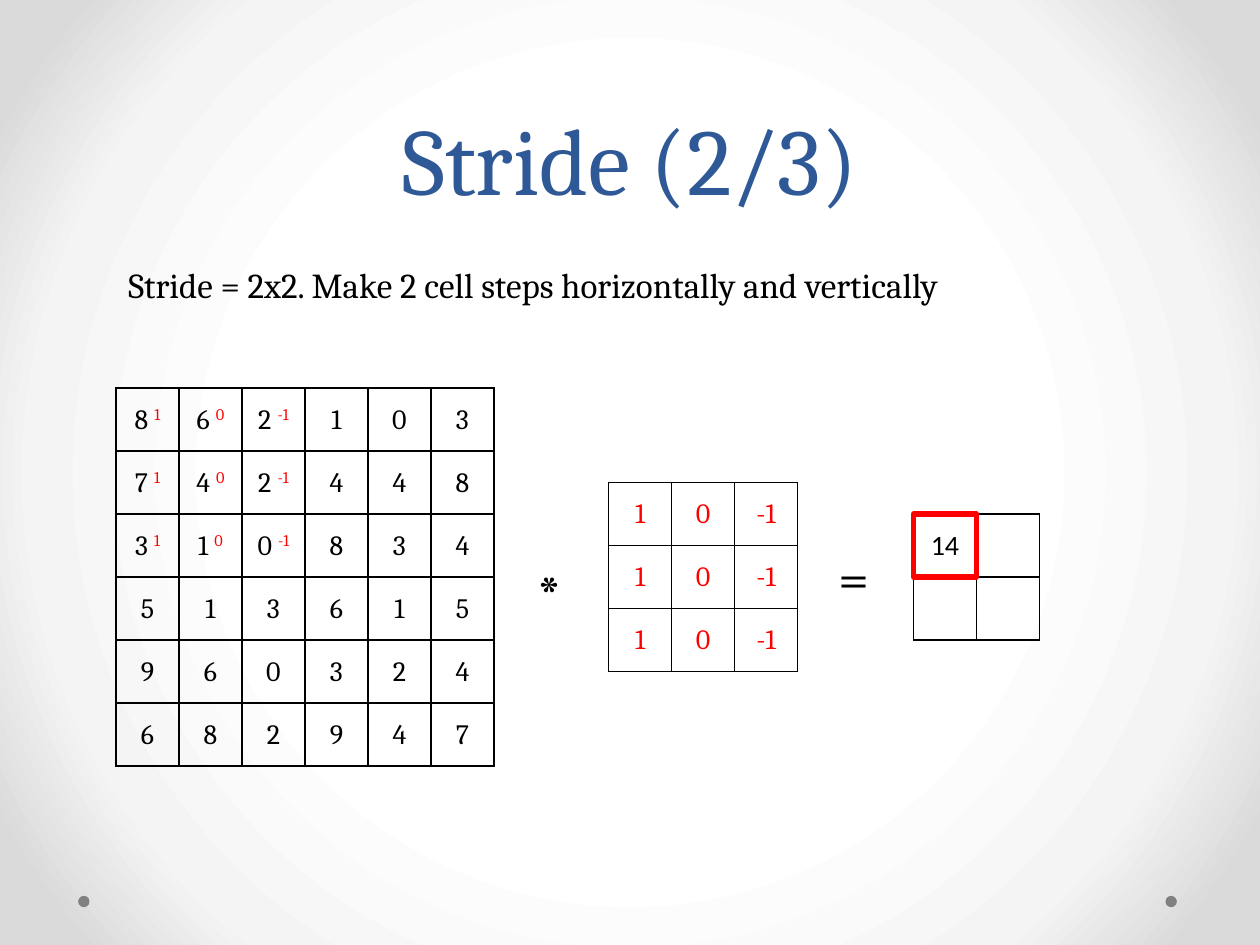
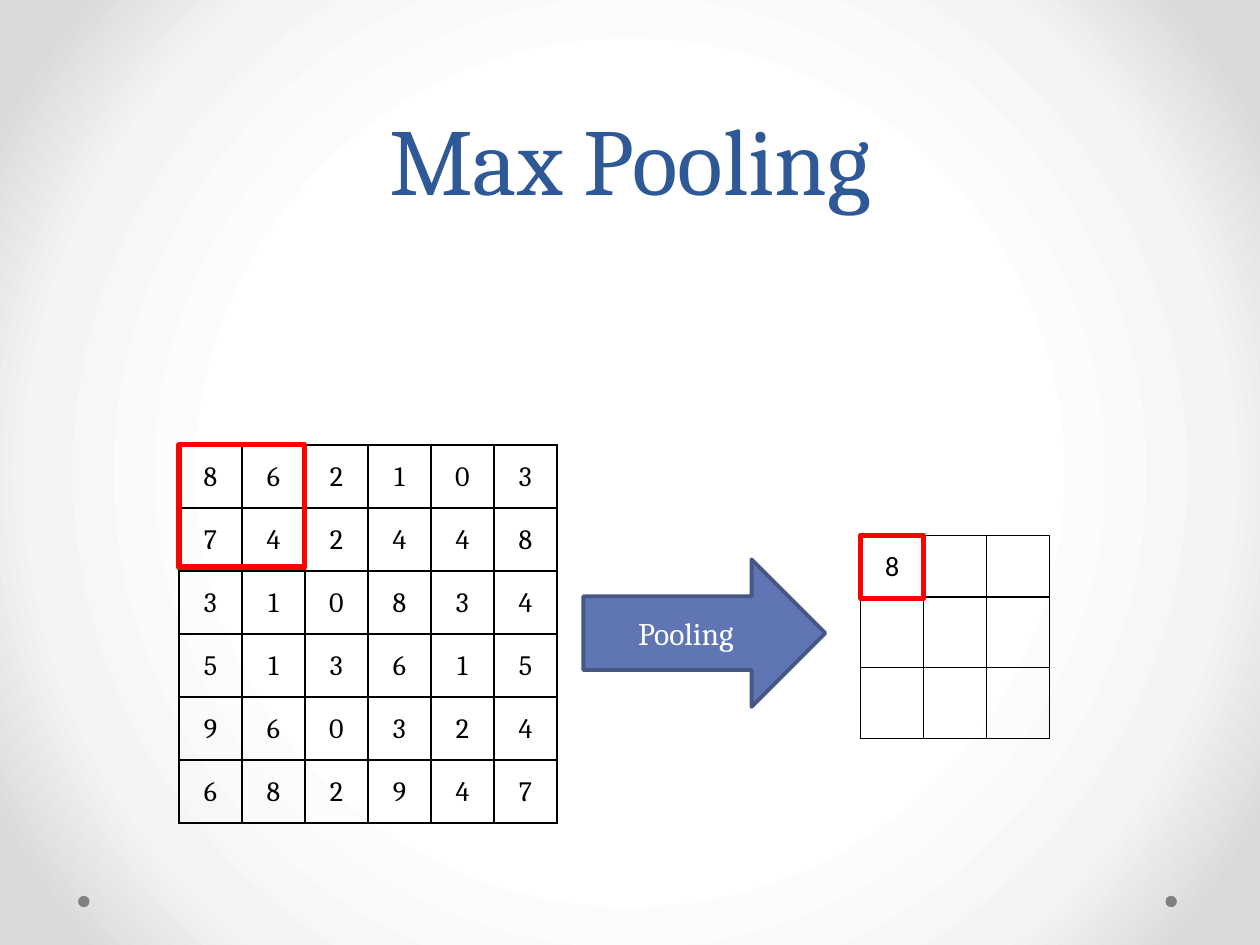
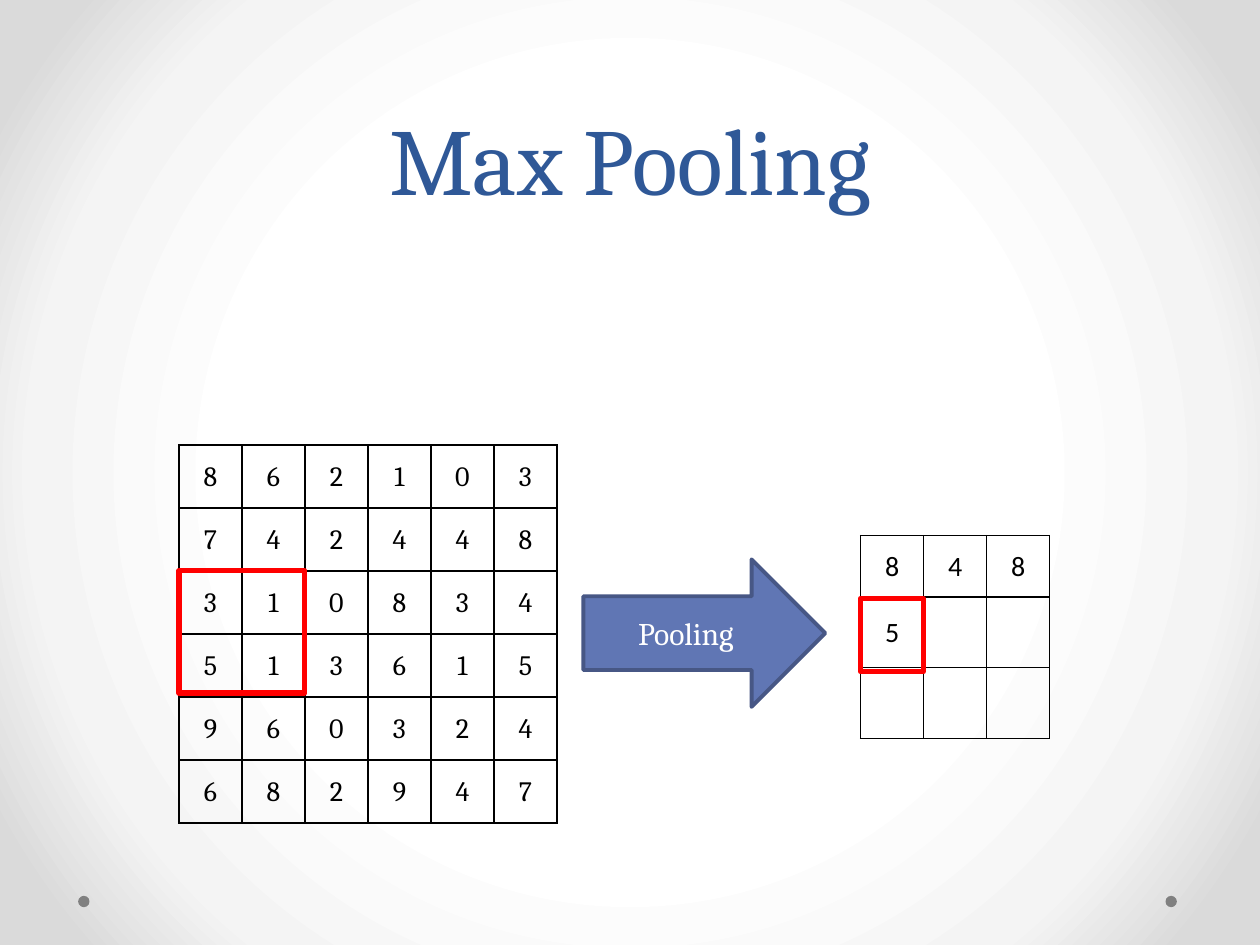
from lxml import etree
from pptx import Presentation
from pptx import util as u
from pptx.dml.color import RGBColor
from pptx.enum import shapes, text
from pptx.oxml import parse_xml
from pptx.oxml.ns import nsdecls, qn

COLORS = {
    "title": "2F5897", "ink": "000000", "kernel": "FF0000", "dot": "808080",
    "arrow": "6076B4", "arrow_edge": "475785", "on_arrow": "FFFFFF",
}
BACKDROP = [(50, "FFFFFF"), (76, "F4F4F4"), (92, "DADADA")]
CELL = 0.5
IMAGE = ["862103", "742448", "310834", "513615", "960324", "682947"]
KERNEL_ROW = ["1", "0", "-1"]


def write(frame, content, size=16, color="ink", font="Cambria", align=None,
          anchor=None, raised=False):
    """Add a run to the frame's first paragraph."""
    paragraph = frame.paragraphs[0]
    if align is not None:
        paragraph.alignment = align
    if anchor is not None:
        frame.vertical_anchor = anchor
    run = paragraph.add_run()
    run.text = content
    run.font.size = u.Pt(size)
    run.font.name = font
    run.font.color.rgb = RGBColor.from_string(COLORS[color])
    if raised:
        run.font._element.set("baseline", "30000")


def add_matrix(slide, left, top, rows, row_heights=None, overlay=(), **format):
    """Draw a ruled grid; overlay rows appear as superscripts from the top left."""
    heights = row_heights or [CELL] * len(rows)
    columns = len(rows[0])
    matrix = slide.shapes.add_table(
        len(rows), columns, u.Inches(left), u.Inches(top),
        u.Inches(CELL * columns), u.Inches(sum(heights))).table
    matrix.first_row = matrix.horz_banding = False
    for column in matrix.columns:
        column.width = u.Inches(CELL)
    for r, values in enumerate(rows):
        matrix.rows[r].height = u.Inches(heights[r])
        for c, value in enumerate(values):
            cell = matrix.cell(r, c)
            cell.margin_left = cell.margin_top = cell.margin_right = u.Inches(0.01)
            cell.margin_bottom = 0
            cell.vertical_anchor = text.MSO_ANCHOR.MIDDLE
            borders = cell._tc.get_or_add_tcPr()
            for side in ("lnL", "lnR", "lnT", "lnB"):
                border = etree.SubElement(borders, qn(f"a:{side}"), w=str(u.Pt(1)))
                ink = etree.SubElement(border, qn("a:solidFill"))
                etree.SubElement(ink, qn("a:srgbClr"), val=COLORS["ink"])
            cell.fill.background()
            weighted = r < len(overlay) and c < len(overlay[r])
            if value.strip():
                write(cell.text_frame, value + " " * weighted,
                      align=text.PP_ALIGN.CENTER, **format)
            if weighted:
                write(cell.text_frame, overlay[r][c], color="kernel", raised=True)


prs = Presentation()
prs.slide_width, prs.slide_height = u.Inches(10), u.Inches(7.5)

# Shared backdrop
master = prs.slide_master
stops = "".join(f'<a:gs pos="{pos * 1000}"><a:srgbClr val="{color}"/></a:gs>'
                for pos, color in BACKDROP)
backdrop = parse_xml(
    f'<p:bg {nsdecls("p", "a")}><p:bgPr><a:gradFill rotWithShape="1">'
    f'<a:gsLst>{stops}</a:gsLst><a:path path="circle">'
    '<a:fillToRect l="50000" t="50000" r="50000" b="50000"/></a:path>'
    '</a:gradFill><a:effectLst/></p:bgPr></p:bg>')
common = master.element.cSld
for old in common.findall(qn("p:bg")):
    common.remove(old)
common.insert(0, backdrop)

# Titles
slides = []
for heading in ("Stride (2/3)", "Max Pooling", "Max Pooling"):
    slide = prs.slides.add_slide(prs.slide_layouts[5])
    title = slide.shapes.title
    title.left, title.top = u.Inches(0.5), 0
    title.width, title.height = u.Inches(9), u.Inches(1.75)
    title.text_frame.auto_size = text.MSO_AUTO_SIZE.NONE
    write(title.text_frame, heading, size=54, color="title",
          align=text.PP_ALIGN.CENTER, anchor=text.MSO_ANCHOR.BOTTOM)
    title.text_frame.paragraphs[0].line_spacing = u.Pt(58)
    slides.append(slide)
stride, *pooling_steps = slides

# Corner dots are drawn on a slide, then moved to the master
for number, left in enumerate((9.25, 0.62)):
    dot = stride.shapes.add_shape(shapes.MSO_SHAPE.OVAL, u.Inches(left),
                                  u.Inches(7.11), u.Inches(0.09), u.Inches(0.09))
    dot.shadow.inherit = False
    dot.fill.solid()
    dot.fill.fore_color.rgb = RGBColor.from_string(COLORS["dot"])
    dot.line.fill.background()
    dot.element.nvSpPr.cNvPr.set("id", str(100 + number))
    master.shapes.element.append(dot.element)

# Stride
add_matrix(stride, 0.92, 3.08, IMAGE, overlay=[KERNEL_ROW] * 3)
add_matrix(stride, 4.83, 3.83, [KERNEL_ROW] * 3, color="kernel")
add_matrix(stride, 7.25, 4.08, [["14", ""], ["", ""]], font="Calibri")
for content, left, top, width, height, size in (
        ("*", 4.17, 4.38, 0.42, 0.64, 32),
        ("=", 6.56, 4.26, 0.42, 0.64, 32),
        ("Stride = 2x2. Make 2 cell steps horizontally and vertically",
         0.92, 2.04, 8.58, 0.44, 20)):
    label = stride.shapes.add_textbox(u.Inches(left), u.Inches(top),
                                      u.Inches(width), u.Inches(height)).text_frame
    label.word_wrap = True
    label.auto_size = text.MSO_AUTO_SIZE.SHAPE_TO_FIT_TEXT
    write(label, content, size=size)

# Max pooling
for slide, pooled in zip(pooling_steps, (["8  ", "   ", "   "],
                                        ["848", "5  ", "   "])):
    add_matrix(slide, 1.42, 3.53, IMAGE)
    add_matrix(slide, 6.83, 4.25, pooled, row_heights=[0.49, 0.56, 0.56],
               font="Calibri")
    arrow = slide.shapes.add_shape(shapes.MSO_SHAPE.RIGHT_ARROW, u.Inches(4.63),
                                   u.Inches(4.44), u.Inches(1.92), u.Inches(1.17))
    arrow.shadow.inherit = False
    arrow.fill.solid()
    arrow.fill.fore_color.rgb = RGBColor.from_string(COLORS["arrow"])
    arrow.line.color.rgb = RGBColor.from_string(COLORS["arrow_edge"])
    arrow.line.width = u.Pt(2.25)
    write(arrow.text_frame, "Pooling", size=18, color="on_arrow",
          align=text.PP_ALIGN.CENTER, anchor=text.MSO_ANCHOR.MIDDLE)

# Active windows
first_pool, second_row_pool = pooling_steps
for slide, left, top, width, height in (
        (stride, 7.25, 4.08, 0.5, 0.5),
        (first_pool, 6.83, 4.25, 0.5, 0.5),
        (first_pool, 1.42, 3.53, 1, 0.97),
        (second_row_pool, 6.83, 4.75, 0.5, 0.58),
        (second_row_pool, 1.42, 4.53, 1, 0.97)):
    window = slide.shapes.add_shape(shapes.MSO_SHAPE.RECTANGLE, u.Inches(left),
                                    u.Inches(top), u.Inches(width), u.Inches(height))
    window.shadow.inherit = False
    window.fill.background()
    window.line.color.rgb = RGBColor.from_string(COLORS["kernel"])
    window.line.width = u.Pt(3)

prs.save("out.pptx")
